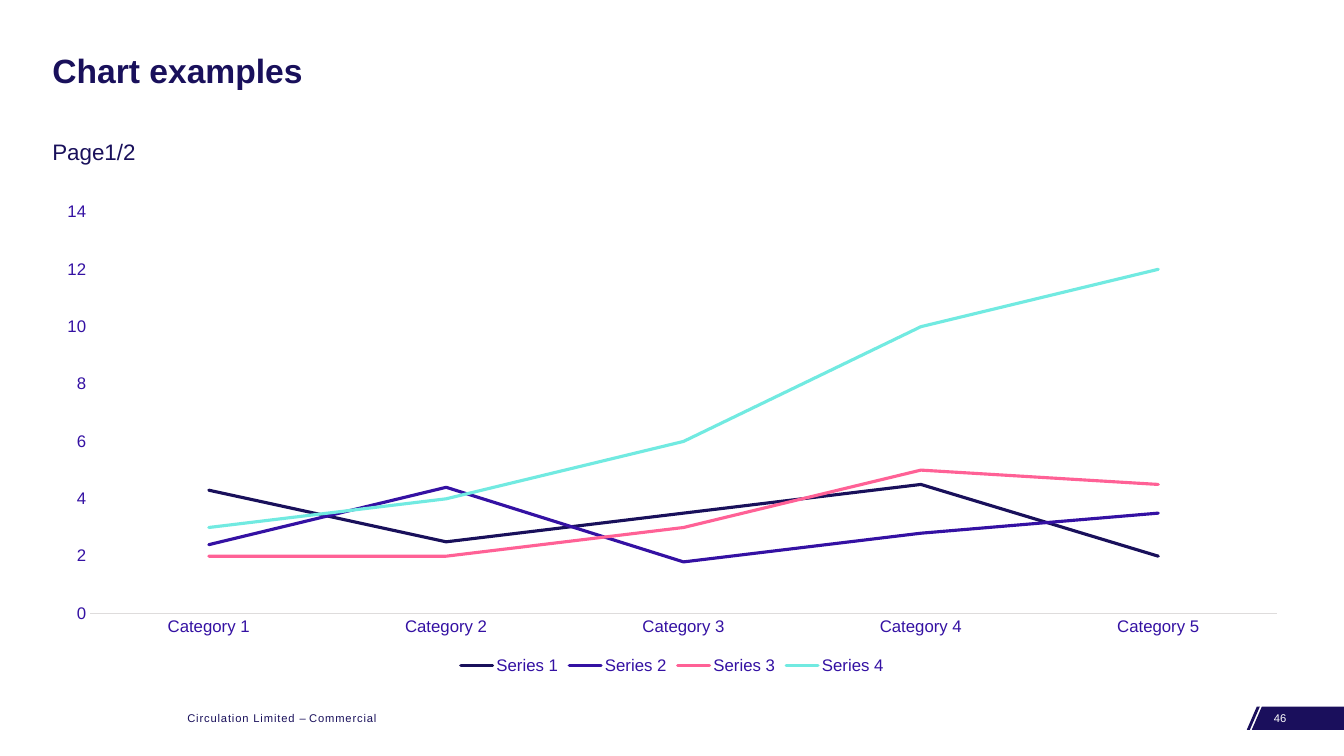
from lxml.etree import SubElement
from pptx import Presentation
from pptx.chart.data import CategoryChartData
from pptx.dml.color import RGBColor
from pptx.enum.chart import XL_CHART_TYPE, XL_LEGEND_POSITION, XL_MARKER_STYLE, XL_TICK_MARK
from pptx.enum.text import MSO_ANCHOR, MSO_AUTO_SIZE, PP_ALIGN
from pptx.oxml import parse_xml
from pptx.oxml.ns import nsdecls, qn
from pptx.util import Pt

NAVY = RGBColor(0x19, 0x10, 0x5B)
BAND = RGBColor(0x1A, 0x0F, 0x5C)
VIOLET = RGBColor(0x34, 0x11, 0xA3)
PINK = RGBColor(0xFF, 0x61, 0x96)
AQUA = RGBColor(0x71, 0xEA, 0xE1)
GREY = RGBColor(0xDE, 0xDC, 0xDC)
WHITE = RGBColor(0xFF, 0xFF, 0xFF)
FACE = "Arial"

CATS = [f"Category {n}" for n in range(1, 6)]
LINES = [
    ("Series 1", (4.3, 2.5, 3.5, 4.5, 2), NAVY),
    ("Series 2", (2.4, 4.4, 1.8, 2.8, 3.5), VIOLET),
    ("Series 3", (2, 2, 3, 5, 4.5), PINK),
    ("Series 4", (3, 4, 6, 10, 12), AQUA),
]


def style(font, size, color, bold=False):
    font.name, font.size, font.bold = FACE, Pt(size), bold
    font.color.rgb = color


def place(shape, left, top, width, height):
    shape.left, shape.top = Pt(left), Pt(top)
    shape.width, shape.height = Pt(width), Pt(height)


def add_head(shape, text, top, height, size, bold=False):
    """Fill a title or body placeholder with one left-aligned line."""
    place(shape, 30.2, top, 900, height)
    frame = shape.text_frame
    frame.text = text
    frame.auto_size = MSO_AUTO_SIZE.NONE
    frame.vertical_anchor = MSO_ANCHOR.MIDDLE
    para = frame.paragraphs[0]
    para.alignment, para.line_spacing = PP_ALIGN.LEFT, 0.9
    para.space_before = Pt(0)
    props = para._p.get_or_add_pPr()
    props.set("marL", "0")
    props.set("indent", "0")
    SubElement(props, qn("a:buNone"))
    style(para.runs[0].font, size, NAVY, bold)


def add_note(slide, parts, left, width, color):
    """Add a small footer text; parts are (text, letter spacing) pairs."""
    box = slide.shapes.add_textbox(Pt(left), Pt(504.7), Pt(width), Pt(17))
    box.text_frame.word_wrap = True
    para = box.text_frame.paragraphs[0]
    for text, gap in parts:
        run = para.add_run()
        run.text = text
        style(run.font, 8, color)
        run.font._element.set("spc", str(gap))


def add_band(slide):
    """Draw the slanted stripe and the page number band as one outline."""
    top, base = 504.7, 521.3
    stripe = [(900, top), (897.8, top), (890.6, base), (892.8, base)]
    block = [(960, top), (901.4, top), (894.2, base), (960, base)]
    stripe, block = ([(Pt(x), Pt(y)) for x, y in pts] for pts in (stripe, block))
    pen = slide.shapes.build_freeform(*stripe[0])
    pen.add_line_segments(stripe[1:])
    pen.move_to(*block[0])
    pen.add_line_segments(block[1:])
    band = pen.convert_to_shape()
    band.shadow.inherit = False
    band.fill.solid()
    band.fill.fore_color.rgb = BAND
    band.line.fill.background()


def set_plot(chart, x, y, w, h):
    """Fix the inner plot area as fractions of the chart."""
    area = chart._chartSpace.chart.plotArea
    for old in area.findall(qn("c:layout")):
        area.remove(old)
    marks = "".join(f'<c:{k} val="{v}"/>' for k, v in
                    (("x", x), ("y", y), ("w", w), ("h", h)))
    area.insert(0, parse_xml(
        f'<c:layout {nsdecls("c")}><c:manualLayout><c:layoutTarget val="inner"/>'
        f'<c:xMode val="edge"/><c:yMode val="edge"/>{marks}'
        '</c:manualLayout></c:layout>'))


def add_lines(slide):
    data = CategoryChartData()
    data.categories = CATS
    for name, vals, _ in LINES:
        data.add_series(name, vals)
    chart = slide.shapes.add_chart(XL_CHART_TYPE.LINE, Pt(30.2), Pt(137.5),
                                   Pt(900), Pt(347), data).chart
    style(chart.font, 12, VIOLET)
    chart.has_title = False
    set_plot(chart, 0.038, 0.04, 0.942, 0.827)

    # Legend
    chart.has_legend = True
    chart.legend.position = XL_LEGEND_POSITION.BOTTOM
    chart.legend.include_in_layout = False
    style(chart.legend.font, 12, VIOLET)

    # Axes
    for axis in (chart.category_axis, chart.value_axis):
        axis.has_major_gridlines = False
        axis.major_tick_mark = axis.minor_tick_mark = XL_TICK_MARK.NONE
        style(axis.tick_labels.font, 12, VIOLET)
    rule = chart.category_axis.format.line
    rule.color.rgb, rule.width = GREY, Pt(0.75)
    axis = chart.value_axis
    axis.minimum_scale, axis.maximum_scale, axis.major_unit = 0, 14, 2
    axis.format.line.fill.background()

    # Series
    plot = chart.plots[0]
    plot.vary_by_categories = False
    for item, (_, _, color) in zip(plot.series, LINES):
        item.smooth = False
        item.marker.style = XL_MARKER_STYLE.NONE
        line = item.format.line
        line.color.rgb, line.width = color, Pt(2.25)
        item._element.find(qn("c:spPr")).find(qn("a:ln")).set("cap", "rnd")


def main():
    deck = Presentation()
    deck.slide_width, deck.slide_height = Pt(960), Pt(540)
    slide = deck.slides.add_slide(deck.slide_layouts[1])

    # Headings
    add_head(slide.shapes.title, "Chart examples", 14.4, 75.6, 24, True)
    add_head(slide.placeholders[1], "Page1/2", 92, 35.3, 16)

    # Chart
    add_lines(slide)

    # Footer
    add_band(slide)
    add_note(slide, [("Circulation Limited ", 60), ("– ", 0), ("Commercial", 60)],
             126.7, 157.7, NAVY)
    add_note(slide, [("46", 0)], 902.9, 44.6, WHITE)
    deck.save("out.pptx")


if __name__ == "__main__":
    main()
